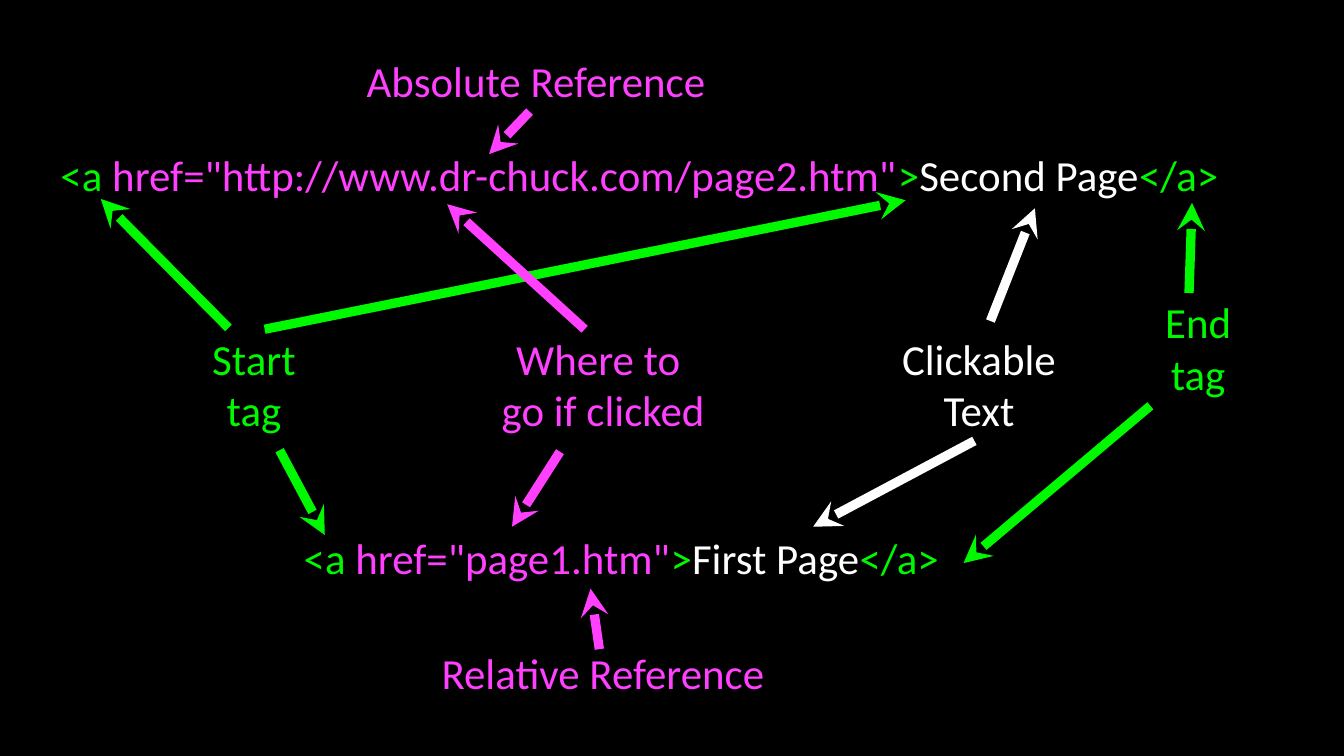
from pptx import Presentation
from pptx.dml.color import RGBColor
from pptx.enum.shapes import MSO_CONNECTOR
from pptx.enum.text import MSO_ANCHOR, PP_ALIGN
from pptx.oxml.ns import qn
from pptx.util import Pt
from lxml.etree import SubElement

COLORS = {"back": "000000", "tag": "00F900", "reference": "FF40FF", "text": "FFFFFF"}
FONT, SIZE = "Calibri", 23
LINE_HEIGHT, INSET = 28.5, 2.2

# Code lines: left, top, width, address, clickable text
LINKS = [
    (160.5, 282.2, 452, "page1.htm", "First Page"),
    (30.2, 77, 635, "http://www.dr-chuck.com/page2.htm", "Second Page"),
]

# Labels: left, top, width, colour, lines
LABELS = [
    (110.2, 175, 51.8, "tag", ["Start", "tag"]),
    (621.4, 155.5, 41, "tag", ["End", "tag"]),
    (264.2, 175, 118, "reference", ["Where to ", "go if clicked"]),
    (478, 175, 93, "text", ["Clickable", "Text"]),
    (231, 343.5, 184.3, "reference", ["Relative Reference"]),
    (189.4, 26.6, 195.8, "reference", ["Absolute Reference"]),
]

# Arrows: colour, tip, tail
ARROWS = [
    ("tag", (54, 106.6), (122.4, 175.7)),
    ("tag", (638.6, 108.7), (637, 157)),
    ("tag", (485.2, 107.3), (141.8, 176.4)),
    ("text", (554.4, 111.6), (530.6, 172)),
    ("reference", (239.6, 109.4), (313.2, 176.4)),
    ("reference", (316.4, 315.4), (321.1, 347.8)),
    ("reference", (262, 82.6), (283.7, 59.8)),
    ("text", (435.6, 282.2), (522, 236.2)),
    ("tag", (516.2, 301.7), (616.3, 217.4)),
    ("tag", (174, 286.6), (149.8, 241.2)),
    ("reference", (274.3, 282.2), (300, 242)),
]


def color(name):
    return RGBColor.from_string(COLORS[name])


def add_text(page, left, top, width, lines, align):
    """Each line is a list of (text, colour name) spans."""
    height = LINE_HEIGHT * len(lines) + 2 * INSET
    box = page.shapes.add_textbox(Pt(left), Pt(top), Pt(width), Pt(height))
    frame = box.text_frame
    frame.word_wrap = True
    frame.vertical_anchor = MSO_ANCHOR.MIDDLE
    frame.margin_left = frame.margin_right = Pt(INSET)
    frame.margin_top = frame.margin_bottom = Pt(INSET)
    for number, spans in enumerate(lines):
        paragraph = frame.add_paragraph() if number else frame.paragraphs[0]
        paragraph.alignment = align
        for text, color_name in spans:
            span = paragraph.add_run()
            span.text = text
            span.font.name = FONT
            span.font.size = Pt(SIZE)
            span.font.color.rgb = color(color_name)


def add_arrow(page, color_name, tip, tail):
    points = [Pt(value) for value in (*tail, *tip)]
    arrow = page.shapes.add_connector(MSO_CONNECTOR.STRAIGHT, *points)
    arrow.line.width = Pt(5)
    arrow.line.color.rgb = color(color_name)
    properties = arrow.element.spPr
    SubElement(properties.find(qn("a:ln")), qn("a:tailEnd"), type="stealth")
    SubElement(properties, qn("a:effectLst"))


deck = Presentation()
deck.slide_width, deck.slide_height = Pt(720), Pt(405)
page = deck.slides.add_slide(deck.slide_layouts[6])
page.background.fill.solid()
page.background.fill.fore_color.rgb = color("back")

# The two links, coloured by part
for left, top, width, address, clickable in LINKS:
    spans = [("<a ", "tag"), (f'href="{address}"', "reference"), (">", "tag"),
             (clickable, "text"), ("</a>", "tag")]
    add_text(page, left, top, width, [spans], PP_ALIGN.LEFT)

# Explanations
for left, top, width, color_name, lines in LABELS:
    add_text(page, left, top, width, [[(line, color_name)] for line in lines],
             PP_ALIGN.CENTER)

# Arrows from the explanations to the links
for arrow in ARROWS:
    add_arrow(page, *arrow)

deck.save("out.pptx")
